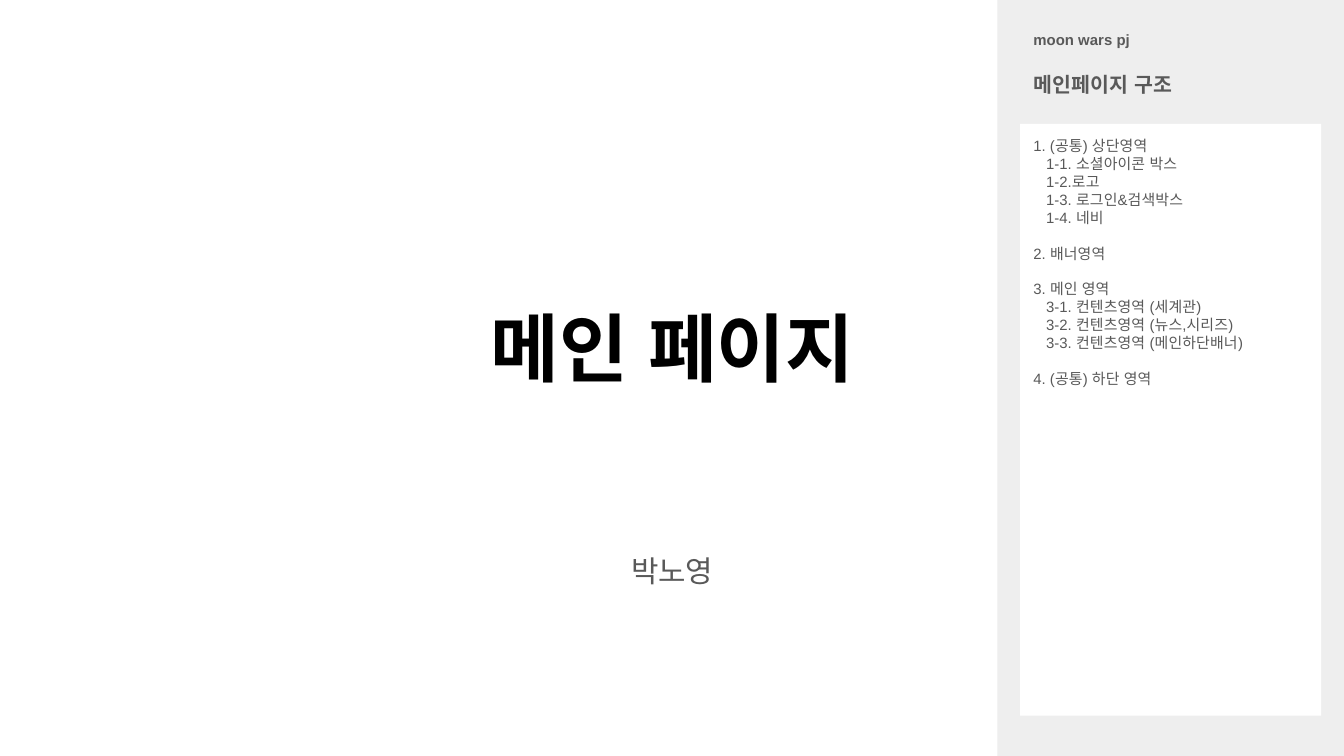
from lxml.etree import SubElement
from pptx import Presentation
from pptx.dml.color import RGBColor
from pptx.enum.shapes import MSO_SHAPE
from pptx.enum.text import MSO_ANCHOR, PP_ALIGN
from pptx.oxml.ns import qn
from pptx.util import Cm, Pt

BLACK = RGBColor(0x00, 0x00, 0x00)
GRAY = RGBColor(0x59, 0x59, 0x59)
PALE = RGBColor(0xEE, 0xEE, 0xEE)
WHITE = RGBColor(0xFF, 0xFF, 0xFF)
FONT = "Arial"

TITLE = "메인 페이지"
AUTHOR = "박노영"
PROJECT = "moon wars pj"
TOPIC = "메인페이지 구조"
OUTLINE = [
    ("1. (공통) 상단영역", [
        "1-1. 소셜아이콘 박스",
        "1-2.로고",
        "1-3. 로그인&검색박스",
        "1-4. 네비",
    ]),
    ("2. 배너영역", []),
    ("3. 메인 영역", [
        "3-1. 컨텐츠영역 (세계관)",
        "3-2. 컨텐츠영역 (뉴스,시리즈)",
        "3-3. 컨텐츠영역 (메인하단배너)",
    ]),
    ("4. (공통) 하단 영역", []),
]

WIDE, HIGH = 25.4, 14.28
MAIN_X, MAIN_W = 0.87, 23.67
SIDE_X = 18.85
CARD_X, CARD_W = 19.28, 5.69
PAD = Cm(0.25)
INDENT = Cm(0.24)
GAP = Pt(9.5)


def write(para, text, size=8, color=GRAY, bold=False, align=PP_ALIGN.LEFT):
    para.alignment = align
    run = para.add_run()
    run.text = text
    font = run.font
    font.name, font.size, font.bold = FONT, Pt(size), bold
    font.color.rgb = color
    SubElement(font._element, qn("a:ea"), typeface=FONT)


def frame(shape, anchor=MSO_ANCHOR.TOP):
    """Set wrapping, margins and anchor; return the text frame."""
    body = shape.text_frame
    body.word_wrap = True
    body.vertical_anchor = anchor
    body.margin_left = body.margin_right = PAD
    body.margin_top = body.margin_bottom = PAD
    return body


def label(slide, box, text, anchor=MSO_ANCHOR.TOP, **style):
    shape = slide.shapes.add_textbox(*map(Cm, box))
    write(frame(shape, anchor).paragraphs[0], text, **style)


def panel(slide, box, color):
    shape = slide.shapes.add_shape(MSO_SHAPE.RECTANGLE, *map(Cm, box))
    shape.shadow.inherit = False
    shape.fill.solid()
    shape.fill.fore_color.rgb = color
    shape.line.fill.background()
    return shape


def outline(shape):
    """Fill the card with sections and their indented items."""
    body = frame(shape)
    for i, (head, items) in enumerate(OUTLINE):
        para = body.add_paragraph() if i else body.paragraphs[0]
        if i:
            para.space_before = GAP
        write(para, head)
        for item in items:
            para = body.add_paragraph()
            para._p.get_or_add_pPr().set("marL", str(INDENT))
            write(para, item)


def main():
    deck = Presentation()
    deck.slide_width, deck.slide_height = Cm(WIDE), Cm(HIGH)
    slide = deck.slides.add_slide(deck.slide_layouts[6])

    label(slide, (MAIN_X, 3.71, MAIN_W, 5.69), TITLE, MSO_ANCHOR.MIDDLE,
          size=40, color=BLACK, bold=True, align=PP_ALIGN.CENTER)
    label(slide, (MAIN_X, 10.19, MAIN_W, 1.3), AUTHOR,
          size=16, align=PP_ALIGN.CENTER)

    panel(slide, (SIDE_X, 0, WIDE - SIDE_X, HIGH), PALE)
    outline(panel(slide, (CARD_X, 2.34, CARD_W, 11.18), WHITE))
    label(slide, (CARD_X, 0.41, CARD_W, 0.91), PROJECT, bold=True)
    label(slide, (CARD_X, 1.12, CARD_W, 0.91), TOPIC, size=11, bold=True)

    deck.save("out.pptx")


if __name__ == "__main__":
    main()
